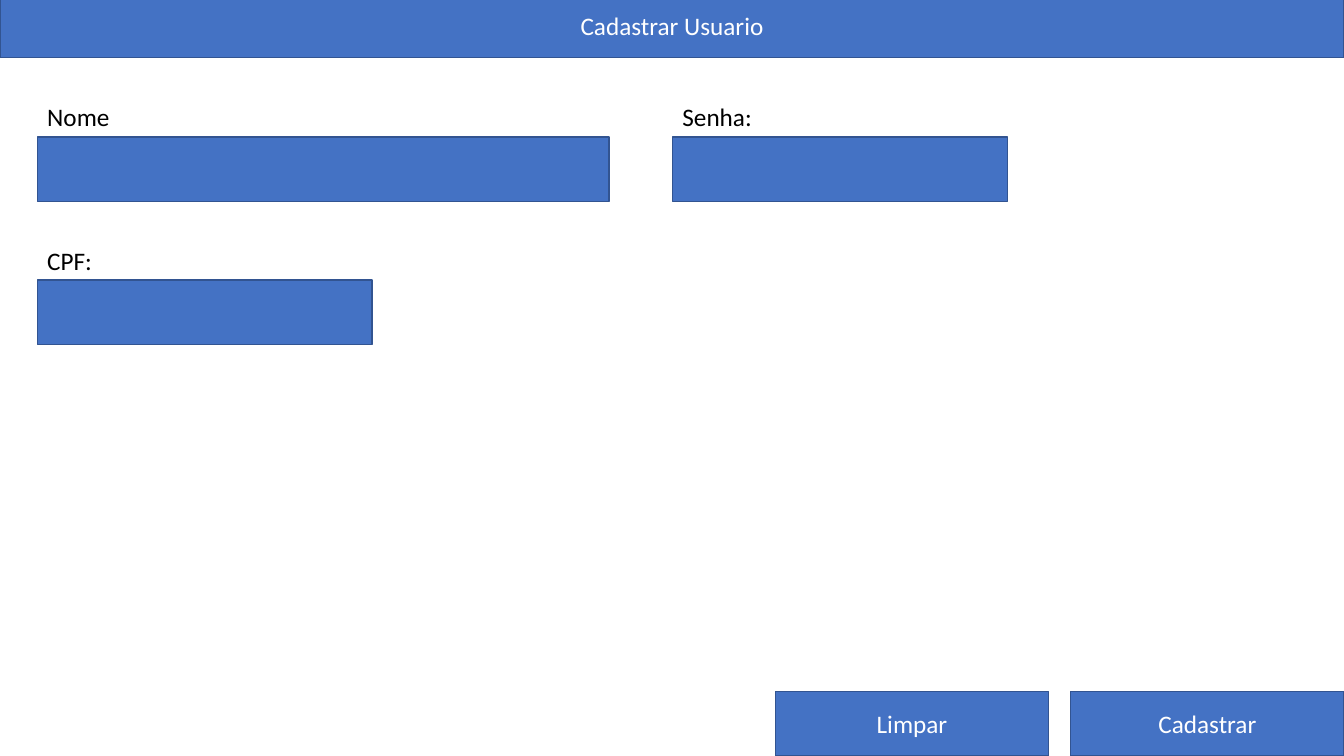
from pptx import Presentation
from pptx.dml.color import RGBColor
from pptx.enum.shapes import MSO_SHAPE
from pptx.enum.text import MSO_ANCHOR, MSO_AUTO_SIZE, PP_ALIGN
from pptx.util import Inches, Pt

RECTANGLE = MSO_SHAPE.RECTANGLE
MIDDLE = MSO_ANCHOR.MIDDLE
CENTER, LEFT = PP_ALIGN.CENTER, PP_ALIGN.LEFT
NO_FIT, GROW = MSO_AUTO_SIZE.NONE, MSO_AUTO_SIZE.SHAPE_TO_FIT_TEXT

BLUE = RGBColor(0x44, 0x72, 0xC4)
DARK_BLUE = RGBColor(0x32, 0x54, 0x91)
WHITE = RGBColor(0xFF, 0xFF, 0xFF)
BLACK = RGBColor(0x00, 0x00, 0x00)

SLIDE_W, SLIDE_H = 13.33, 7.5
BAR_H = 0.64
LABEL_H = 0.4
COLUMNS = (0.37, 6.67)
ROWS = (0.96, 2.38)
BUTTON_W, BUTTON_GAP = 2.71, 0.22


def write(shape, text, color, align):
    paragraph = shape.text_frame.paragraphs[0]
    paragraph.text = text
    paragraph.alignment = align
    font = paragraph.runs[0].font
    for name, value in {"name": "Calibri", "size": Pt(18), "bold": False}.items():
        setattr(font, name, value)
    font.color.rgb = color


def paint_bar(shape, text=""):
    """Give a bar its blue fill and outline, and centred white text if any."""
    shape.shadow.inherit = False
    shape.fill.solid()
    shape.fill.fore_color.rgb = BLUE
    shape.line.color.rgb = DARK_BLUE
    shape.line.width = Pt(1)
    if text:
        frame_format = {"vertical_anchor": MIDDLE, "auto_size": NO_FIT, "word_wrap": True}
        for name, value in frame_format.items():
            setattr(shape.text_frame, name, value)
        write(shape, text, WHITE, CENTER)


prs = Presentation()
prs.slide_width, prs.slide_height = Inches(SLIDE_W), Inches(SLIDE_H)
slide = prs.slides.add_slide(prs.slide_layouts[5])

# Header
header = slide.shapes.title
header_place = {"left": 0, "top": -0.07, "width": SLIDE_W, "height": BAR_H}
for side, length in header_place.items():
    setattr(header, side, Inches(length))
paint_bar(header, "Cadastrar Usuario")

# Form fields: label, column, row, input width
fields = [
    ("Nome", 0, 0, 5.67),
    ("Senha:", 1, 0, 3.32),
    ("CPF:", 0, 1, 3.32),
]
for name, column, row, input_w in fields:
    left, top = COLUMNS[column], ROWS[row]
    label = slide.shapes.add_textbox(Inches(left), Inches(top), Inches(2.28), Inches(LABEL_H))
    label.text_frame.word_wrap = True
    label.text_frame.auto_size = GROW
    write(label, name, BLACK, LEFT)
    paint_bar(slide.shapes.add_shape(
        RECTANGLE, Inches(left), Inches(top + LABEL_H), Inches(input_w), Inches(BAR_H)))

# Buttons, placed from the right edge
for position, action in enumerate(("Cadastrar", "Limpar")):
    left = SLIDE_W - BUTTON_W - position * (BUTTON_W + BUTTON_GAP)
    button = slide.shapes.add_shape(
        RECTANGLE, Inches(left), Inches(SLIDE_H - BAR_H), Inches(BUTTON_W), Inches(BAR_H))
    paint_bar(button, action)

prs.save("out.pptx")
